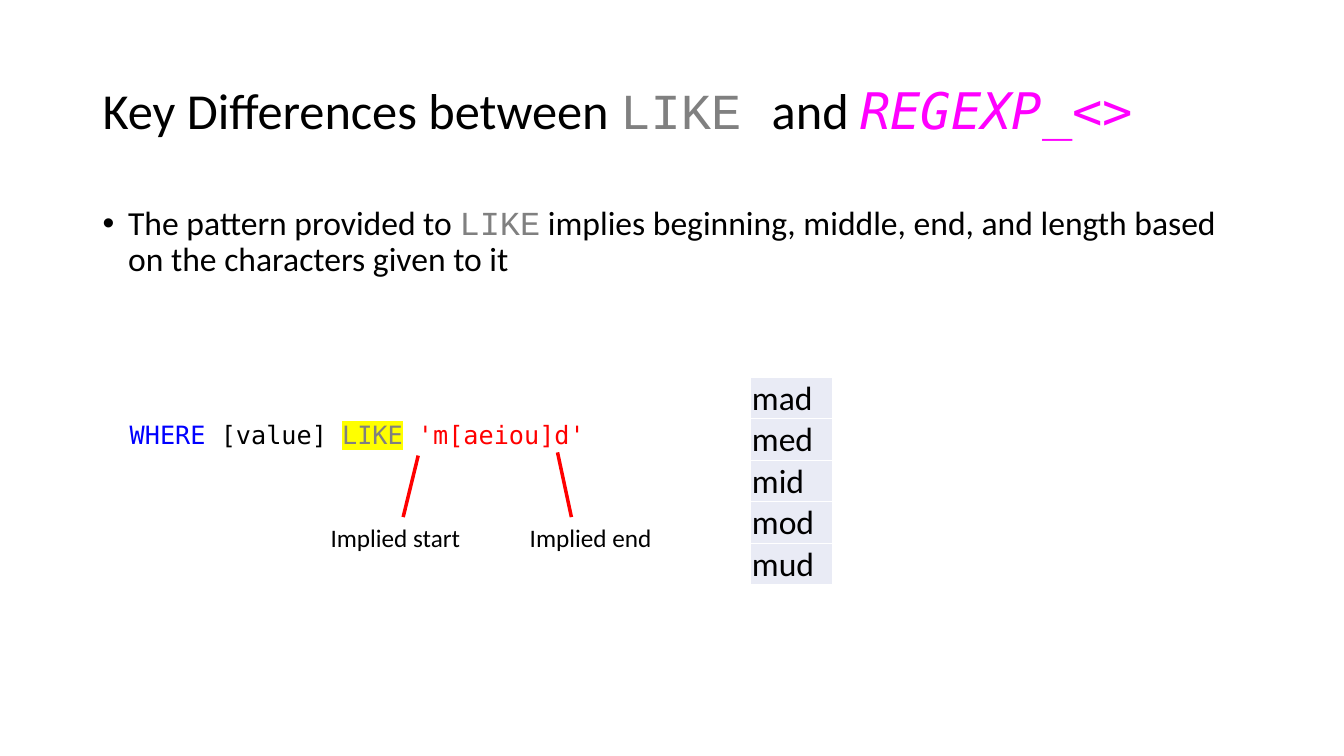
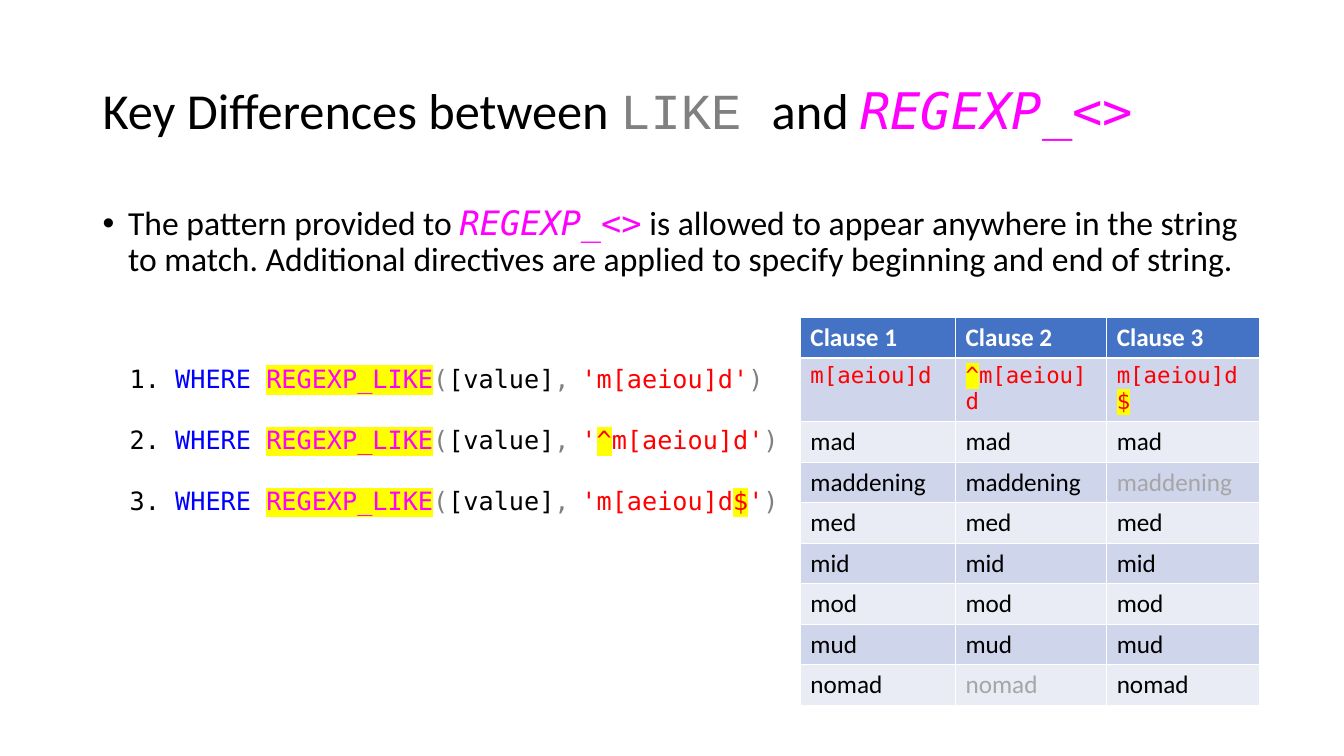
from lxml import etree
from pptx import Presentation
from pptx.dml.color import RGBColor
from pptx.enum.shapes import MSO_CONNECTOR
from pptx.enum.text import MSO_ANCHOR
from pptx.oxml.ns import qn
from pptx.util import Cm, Pt

LINE = MSO_CONNECTOR.STRAIGHT
TOP, MIDDLE, BOTTOM = MSO_ANCHOR.TOP, MSO_ANCHOR.MIDDLE, MSO_ANCHOR.BOTTOM
SANS, MONO, COURIER = "Calibri", "DejaVu Sans Mono", "Courier New"
INK = {
    "black": "000000", "white": "FFFFFF", "gray": "808080", "faint": "A6A6A6",
    "blue": "0000FF", "red": "FF0000", "pink": "FF00FF", "yellow": "FFFF00",
    "head": "4472C4", "dark": "CFD5EA", "light": "E9EBF5",
}
STYLES = {
    "plain": {},
    "bold": {"ink": "white", "bold": True},
    "faint": {"ink": "faint"},
    "like": {"ink": "gray", "face": COURIER},
    "regexp": {"ink": "pink", "face": MONO, "slant": True},
    "code": {"face": MONO},
    "key": {"ink": "blue", "face": MONO},
    "sign": {"ink": "gray", "face": MONO},
    "gap": {"face": MONO, "size": 14},
    "quote": {"ink": "red", "face": MONO},
    "mark": {"ink": "red", "face": MONO, "glow": True},
    "oper": {"ink": "gray", "face": MONO, "glow": True},
    "func": {"ink": "pink", "face": MONO, "glow": True},
}
TITLE = [("Key Differences between ", "plain"), ("LIKE ", "like"),
         ("and ", "plain"), ("REGEXP_<>", "regexp")]


def color(name):
    """Return the named colour."""
    return RGBColor.from_string(INK[name])


def add_run(para, text, size, ink="black", face=SANS, bold=False, slant=False, glow=False):
    """Add one formatted run to a paragraph."""
    run = para.add_run()
    run.text = text
    font = run.font
    font.size, font.bold, font.italic = Pt(size), bold, slant
    font.color.rgb = color(ink)
    if glow:
        mark = etree.SubElement(font._element, qn("a:highlight"))
        etree.SubElement(mark, qn("a:srgbClr"), val=INK["yellow"])
    font.name = face


def write(frame, paras, size=18, gap=0, lead=None, bullet=False):
    """Fill a text frame with paragraphs of (text, style) runs."""
    for i, runs in enumerate(paras):
        para = frame.add_paragraph() if i else frame.paragraphs[0]
        para.line_spacing = lead
        if i:
            para.space_before = Pt(gap)
        if bullet:
            props = para._p.get_or_add_pPr()
            props.set("marL", str(Cm(0.64)))
            props.set("indent", str(-Cm(0.64)))
            etree.SubElement(props, qn("a:buFont"), typeface="Arial")
            etree.SubElement(props, qn("a:buChar"), char="•")
        for text, style in runs:
            add_run(para, text, **{"size": size, **STYLES[style]})


def add_text(slide, x, y, w, h, paras, anchor=TOP, **form):
    """Add a wrapped text box, measured in centimetres."""
    frame = slide.shapes.add_textbox(Cm(x), Cm(y), Cm(w), Cm(h)).text_frame
    frame.word_wrap = True
    frame.vertical_anchor = anchor
    write(frame, paras, **form)


def add_line(slide, x1, y1, x2, y2):
    """Add a red pointer line."""
    line = slide.shapes.add_connector(LINE, Cm(x1), Cm(y1), Cm(x2), Cm(y2))
    line.line.color.rgb = color("red")
    line.line.width = Pt(2.5)
    etree.SubElement(line._element.spPr, qn("a:effectLst"))


def add_grid(slide, x, y, widths, high, rows, fills, size=18, head=True, tight=False):
    """Add a table whose cells hold (text, style) runs."""
    shape = slide.shapes.add_table(len(rows), len(widths), Cm(x), Cm(y),
                                   Cm(sum(widths)), Cm(high * len(rows)))
    table = shape.table
    table.first_row, table.horz_banding = head, False
    for col, wide in zip(table.columns, widths):
        col.width = Cm(wide)
    for line, row, fill in zip(table.rows, rows, fills):
        line.height = Cm(high)
        for cell, runs in zip(line.cells, row):
            cell.fill.solid()
            cell.fill.fore_color.rgb = color(fill)
            if tight:
                cell.margin_left = cell.margin_right = cell.margin_top = Cm(0.03)
                cell.margin_bottom = 0
                cell.vertical_anchor = BOTTOM
            write(cell.text_frame, [runs], size=size)


def add_page(deck, point):
    """Add a slide with the shared title and one bullet point."""
    slide = deck.slides.add_slide(deck.slide_layouts[6])
    add_text(slide, 2.34, 1.02, 29.21, 3.68, [TITLE], anchor=MIDDLE, size=36, lead=0.9)
    add_text(slide, 2.34, 5.08, 29.21, 12.09, [point], size=24, lead=0.9, bullet=True)
    return slide


def like_code(slide, x, y):
    """Place the LIKE clause with its two pointers and labels."""
    clause = [("WHERE", "key"), (" [value] ", "code"), ("LIKE", "oper"),
              (" ", "code"), ("'m[aeiou]d'", "quote")]
    add_text(slide, x, y, 16.92, 1.02, [clause])
    for text, left in (("Implied start", 5.06), ("Implied end", 10.08)):
        add_text(slide, x + left, y + 2.59, 4, 1.02, [[(text, "plain")]])
    for start, top, end in ((7.52, 1.04, 7.14), (11.03, 0.96, 11.38)):
        add_line(slide, x + start, y + top, x + end, y + 2.59)


def word_list(slide, x, y):
    """Place the column of words that match LIKE."""
    rows = [[[(word, "plain")]] for word in ("mad", "med", "mid", "mod", "mud")]
    add_grid(slide, x, y, [2.06], 1.04, rows, ["light"] * len(rows),
             size=24, head=False, tight=True)


def regexp_code(slide, x, y):
    """Place the three numbered REGEXP_LIKE clauses."""
    ends = [
        [("'m[aeiou]d'", "quote")],
        [("'", "quote"), ("^", "mark"), ("m[aeiou]d'", "quote")],
        [("'m[aeiou]d", "quote"), ("$", "mark"), ("'", "quote")],
    ]
    paras = [[(f"{n}. ", "code"), ("WHERE ", "key"), ("REGEXP_LIKE", "func"),
              ("(", "sign"), ("[value]", "code"), (",", "sign"), (" ", "gap"),
              *end, (")", "sign")] for n, end in enumerate(ends, 1)]
    add_text(slide, x, y, 17.35, 4.11, paras, gap=22)


def match_grid(slide, x, y):
    """Place the table of words matched by each clause."""
    STYLES["small"] = {**STYLES["quote"], "size": 16}
    STYLES["spot"] = {**STYLES["mark"], "size": 16}
    stem = ("m[aeiou]d", "small")
    rows = [[[(f"Clause {n}", "bold")] for n in (1, 2, 3)],
            [[stem], [("^", "spot"), stem], [stem, ("$", "spot")]]]
    misses = {("maddening", 3), ("nomad", 2)}
    for word in ("mad", "maddening", "med", "mid", "mod", "mud", "nomad"):
        rows.append([[(word, "faint" if (word, n) in misses else "plain")]
                     for n in (1, 2, 3)])
    fills = ["head"] + ["dark" if n % 2 else "light" for n in range(1, len(rows))]
    add_grid(slide, x, y, [3.91, 3.81, 3.86], 1.02, rows, fills)


def main():
    """Build and save the deck."""
    deck = Presentation()
    deck.slide_width, deck.slide_height = Cm(33.87), Cm(19.05)
    page = add_page(deck, [
        ("The pattern provided to ", "plain"), ("LIKE", "like"),
        (" implies beginning, middle, end, and length based on the characters "
         "given to it", "plain")])
    like_code(page, 3.02, 10.44)
    word_list(page, 18.92, 9.5)
    page = add_page(deck, [
        ("The pattern provided to ", "plain"), ("REGEXP_<>", "regexp"),
        (" is allowed to appear anywhere in the string to match. Additional "
         "directives are applied to specify beginning and end of string.", "plain")])
    regexp_code(page, 3.02, 9.04)
    match_grid(page, 20.17, 8)
    deck.save("out.pptx")


if __name__ == "__main__":
    main()
